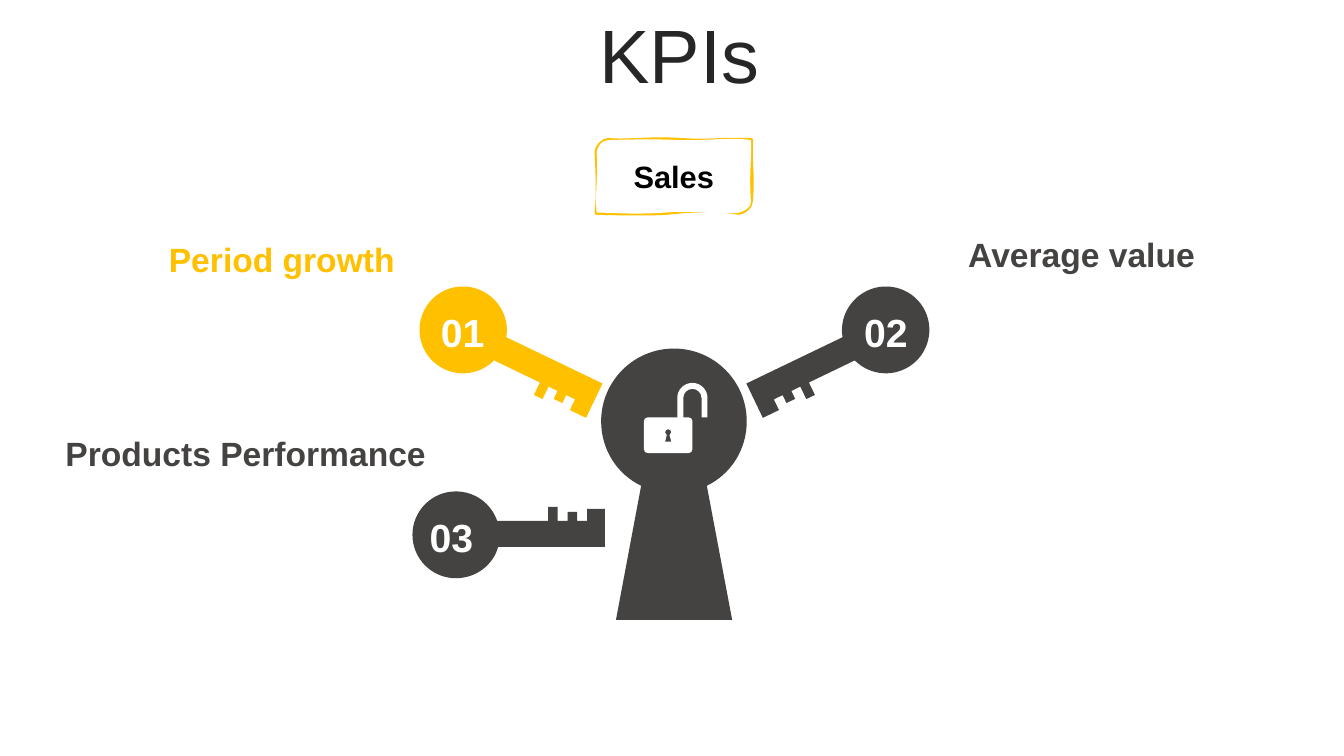
"""Build the KPIs slide: three numbered keys around a keyhole with an open lock."""
from lxml import etree
from pptx import Presentation
from pptx.dml.color import RGBColor
from pptx.enum.text import MSO_ANCHOR as Anchor, PP_ALIGN as Align
from pptx.oxml.ns import qn
from pptx.util import Pt

COLORS = {"dark": "444342", "gold": "FFC000", "white": "FFFFFF", "black": "000000", "title": "262626"}

presentation = Presentation()
presentation.slide_width, presentation.slide_height = Pt(960), Pt(540)
slide = presentation.slides.add_slide(presentation.slide_layouts[6])


def add_text(text, box=None, shape=None, size=24, color="dark", bold=True, align=Align.CENTER):
    """Write one paragraph into a new text box or into a given shape."""
    shape = shape or slide.shapes.add_textbox(*map(Pt, box))
    frame = shape.text_frame
    frame.word_wrap = True
    frame.vertical_anchor = Anchor.MIDDLE
    paragraph = frame.paragraphs[0]
    paragraph.alignment = align
    run = paragraph.add_run()
    run.text = text
    run.font.name, run.font.size, run.font.bold = "Arial", Pt(size), bold
    run.font.color.rgb = RGBColor.from_string(COLORS[color])
    return paragraph


def add_outline(*contours, fill, rotation=0):
    """Draw closed contours of points (x, y) and Bézier curves (two controls and an end)."""
    builder = slide.shapes.build_freeform(*map(Pt, contours[0][0]))
    for index, contour in enumerate(contours):
        if index:
            builder.move_to(*map(Pt, contour[0]))
        builder.add_line_segments([(Pt(part[-2]), Pt(part[-1])) for part in contour[1:]], close=True)
    shape = builder.convert_to_shape()
    lines = list(shape._element.iter(qn("a:lnTo")))
    parts = [part for contour in contours for part in contour[1:]]
    for line, part in zip(lines, parts):
        if len(part) == 6:
            curve = etree.Element(qn("a:cubicBezTo"))
            for x, y in zip(part[::2], part[1::2]):
                etree.SubElement(curve, qn("a:pt"), x=str(Pt(x) - shape.left), y=str(Pt(y) - shape.top))
            line.getparent().replace(line, curve)
    shape.shadow.inherit = False
    shape.fill.solid()
    shape.fill.fore_color.rgb = RGBColor.from_string(COLORS[fill])
    shape.line.fill.background()
    shape.rotation = rotation
    return shape


title = add_text("KPIs", box=(29.5, 13.5, 911.5, 57), size=54, color="title", bold=False)
title.line_spacing, title.space_before = 0.9, Pt(10)

add_outline([
    (481.4, 249), (510.1, 249, 533.4, 272.3, 533.4, 301), (533.4, 321.6, 521.6, 339, 504.9, 347),
    (523, 442.9), (440, 442.9), (458, 347),
    (441.2, 339, 429.4, 321.6, 429.4, 301), (429.4, 272.3, 452.7, 249, 481.4, 249),
], fill="dark")

KEY_WIDTH, KEY_HEIGHT = 137.5, 62
key_outline = [
    (31, 62), (45.4, 62, 57.6, 52.6, 61.2, 39.7), (137.5, 39.7),
    (137.5, 12.5), (124.7, 12.5), (124.7, 21), (117.7, 21), (117.7, 14.7), (110.8, 14.7), (110.8, 21),
    (103.7, 21), (103.7, 11.1), (96.9, 11.1), (96.9, 21), (60.5, 21),
    (56.2, 8.6, 44.6, 0, 31, 0), (13.9, 0, 0, 13.9, 0, 31), (0, 48.1, 13.9, 62, 31, 62),
]
keys = [
    ("02", "dark", (530.1, 221), 334.3, True, True, (606.3, 216.3)),
    ("01", "gold", (295.9, 221), 25.7, False, True, (304, 216.3)),
    ("03", "dark", (294.6, 351), 0, False, False, (296, 363)),
]
for number, color, (left, top), rotation, mirrored, teeth_down, corner in keys:
    placed_key = []
    for part in key_outline:
        xs = [left + (KEY_WIDTH - x if mirrored else x) for x in part[::2]]
        ys = [top + (KEY_HEIGHT - y if teeth_down else y) for y in part[1::2]]
        placed_key.append([value for point in zip(xs, ys) for value in point])
    add_outline(placed_key, fill=color, rotation=rotation)
    add_text(number, box=(*corner, 53, 41), size=28, color="white")

labels = [
    ("Average value", (684.5, 163.5, 234, 36), "dark", Align.LEFT),
    ("Period growth", (51.3, 167, 237.7, 36), "gold", Align.RIGHT),
    ("Products Performance", (38.2, 305.3, 273, 36), "dark", Align.RIGHT),
]
for label, box, color, align in labels:
    add_text(label, box=box, color=color, align=align)

lock_hole = [
    (477.3, 306.6), (476.1, 306.6, 475.1, 307.6, 475.1, 308.8), (475.1, 309.7, 475.6, 310.5, 476.3, 310.8),
    (475.1, 315.5), (479.5, 315.5), (478.3, 310.8),
    (479, 310.5, 479.5, 309.7, 479.5, 308.8), (479.5, 307.6, 478.5, 306.6, 477.3, 306.6),
]
lock_body = [
    (494.6, 273.5), (500.6, 273.5, 505.4, 278.4, 505.4, 284.3), (505.4, 298.2), (501.1, 298.2), (501.1, 284.3),
    (501.1, 280.7, 498.2, 277.8, 494.6, 277.8), (491, 277.8, 488.1, 280.7, 488.1, 284.3), (488.1, 298.2),
    (492, 298.2), (493.5, 298.2, 494.6, 299.3, 494.6, 300.8),
    (494.6, 321), (494.6, 322.5, 493.5, 323.6, 492, 323.6),
    (462.6, 323.6), (461.1, 323.6, 460, 322.5, 460, 321),
    (460, 300.8), (460, 299.3, 461.1, 298.2, 462.6, 298.2),
    (483.8, 298.2), (483.8, 284.3), (483.8, 278.4, 488.6, 273.5, 494.6, 273.5),
]
add_outline(lock_hole, lock_body, fill="white")

sketched_border = [
    (434.9, 100), (445.7, 101.5, 463, 98.6, 485.3, 100), (507.6, 101.5, 511.2, 99.4, 536.4, 100),
    (535.7, 120.2, 537.8, 121.7, 536.4, 143.3), (536.4, 147.6, 532, 151.2, 527.8, 151.9),
    (507.6, 149, 488.9, 150.5, 476.6, 151.9), (464.4, 152.6, 449.3, 152.6, 426.2, 151.9),
    (427.7, 141.1, 427, 121.7, 426.2, 108.7), (426.2, 105.1, 430.6, 100, 434.9, 100),
]
sketched_face = [
    (434.9, 100), (458.6, 99.4, 470.2, 99.4, 484.6, 100), (499, 100.8, 522.7, 97.9, 536.4, 100),
    (537.1, 114.5, 535, 123.1, 536.4, 143.3), (536.4, 149, 532, 150.5, 527.8, 151.9),
    (511.9, 154.1, 500.4, 149.8, 474.5, 151.9), (449.3, 153.4, 442.1, 151.9, 426.2, 151.9),
    (424.8, 135.4, 427.7, 124.6, 426.2, 108.7), (427, 104.4, 429.8, 100, 434.9, 100),
]
sales = add_outline(sketched_border, sketched_face, fill="white")
sales.line.color.rgb = RGBColor.from_string(COLORS["gold"])
sales.line.width = Pt(3)
border_path = sales._element.find(".//" + qn("a:path"))
face_path = etree.SubElement(border_path.getparent(), qn("a:path"),
                             w=border_path.get("w"), h=border_path.get("h"), stroke="0")
face_start = border_path.findall(qn("a:moveTo"))[1]
for step in list(border_path)[border_path.index(face_start):]:
    face_path.append(step)
border_path.set("fill", "none")
add_text("Sales", shape=sales, size=22, color="black")

presentation.save("out.pptx")
